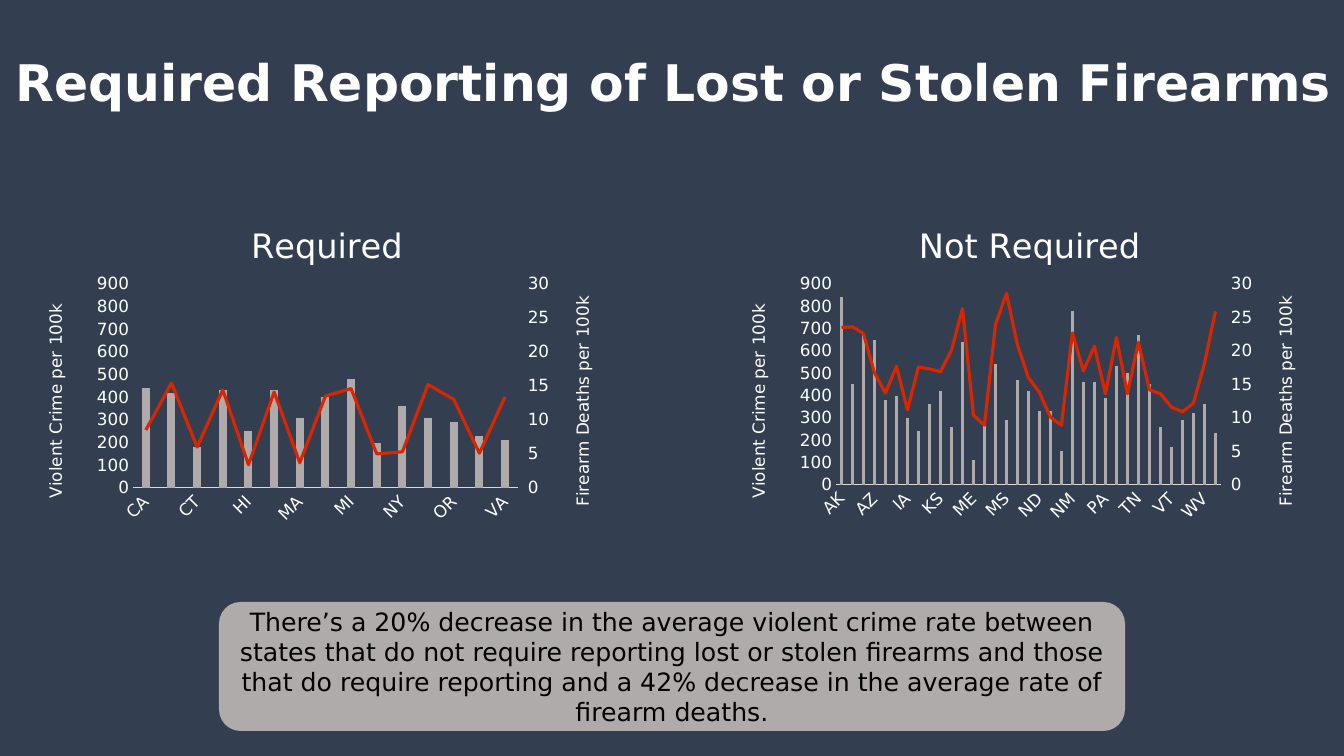
import copy
import pptx
import pptx.chart.axis
import pptx.chart.data
import pptx.dml.color
import pptx.enum.chart
import pptx.enum.shapes
import pptx.enum.text
import pptx.oxml
import pptx.oxml.ns
import pptx.util

PX = 9071  # EMU per px, 100.8 px to the inch
FONT = "DejaVu Sans"
NAVY, WHITE, BLACK = "333F50", "FFFFFF", "000000"
GREY, RED, AXIS_GREY = "AFABAB", "DA2600", "D9D9D9"
CHART_WIDTH = 608

CHARTS = [
    dict(title="Required", left=17, height=338, title_left=228, plot_height=204,
         states="CA CO CT DE HI IL MA MD MI NJ NY OH OR RI VA",
         crime=[440, 420, 180, 430, 250, 430, 310, 400, 480, 200, 360, 310, 290, 230, 210],
         deaths=[8.5, 15.4, 6, 14.4, 3.4, 14.1, 3.7, 13.5, 14.6, 5, 5.3, 15.2, 13, 5.1, 13.4]),
    dict(title="Not Required", left=720, height=336, title_left=193, plot_height=201,
         states="AK AL AR AZ FL GA IA ID IN KS KY LA ME MN MO MS MT NC ND NE NH NM NV OK "
                "PA SC SD TN TX UT VT WA WI WV WY",
         crime=[840, 450, 670, 650, 380, 400, 300, 240, 360, 420, 260, 640, 110, 280, 540,
                290, 470, 420, 330, 330, 150, 780, 460, 460, 390, 530, 500, 670, 450, 260,
                170, 290, 320, 360, 230],
         deaths=[23.5, 23.6, 22.6, 16.7, 13.7, 17.7, 11.2, 17.6, 17.3, 16.9, 20.1, 26.3,
                 10.4, 8.9, 23.9, 28.6, 20.9, 16, 13.8, 10.1, 8.9, 22.7, 17, 20.7, 13.6,
                 22, 13.6, 21.3, 14.2, 13.6, 11.6, 10.9, 12.2, 18.1, 25.9]),
]


def rgb(value):
    return pptx.dml.color.RGBColor.from_string(value)


def write(frame, text, size=12, color=WHITE, bold=False, spacing=None):
    paragraph = frame.paragraphs[0]
    paragraph.alignment = pptx.enum.text.PP_ALIGN.CENTER
    paragraph.line_spacing = spacing
    run = paragraph.add_run()
    run.text = text
    run.font.name = FONT
    run.font.size = pptx.util.Pt(size)
    run.font.bold = bold
    run.font.color.rgb = rgb(color)


deck = pptx.Presentation()
deck.slide_width, deck.slide_height = 1344 * PX, 756 * PX
slide = deck.slides.add_slide(deck.slide_layouts[5])
slide.background.fill.solid()
slide.background.fill.fore_color.rgb = rgb(NAVY)

# Title
heading = slide.shapes.title
heading.left, heading.top, heading.width, heading.height = (v * PX for v in (-44, 12, 1435, 146))
heading.text_frame.word_wrap = True
heading.text_frame.vertical_anchor = pptx.enum.text.MSO_ANCHOR.MIDDLE
write(heading.text_frame, "Required Reporting of Lost or Stolen Firearms",
      size=36, bold=True, spacing=0.9)

# Charts: crime as columns, deaths as a line on the right axis
for group in CHARTS:
    data = pptx.chart.data.CategoryChartData()
    data.categories = group["states"].split()
    data.add_series("Series 1", group["crime"])
    data.add_series("Series 2", group["deaths"])
    chart = slide.shapes.add_chart(
        pptx.enum.chart.XL_CHART_TYPE.COLUMN_CLUSTERED,
        group["left"] * PX, 195 * PX, CHART_WIDTH * PX, group["height"] * PX, data).chart
    chart.font.name = FONT
    chart.font.size = pptx.util.Pt(12)
    chart.font.color.rgb = rgb(WHITE)
    chart.has_legend = False
    chart.has_title = True
    write(chart.chart_title.text_frame, group["title"], size=24)

    # Second pair of axes
    plot_area = chart.element.xpath(".//c:plotArea")[0]
    state_xml = plot_area.xpath("c:catAx")[0]
    crime_xml = plot_area.xpath("c:valAx")[0]
    hidden_xml, deaths_xml = copy.deepcopy(state_xml), copy.deepcopy(crime_xml)
    crime_xml.addnext(deaths_xml)
    deaths_xml.addnext(hidden_xml)
    for axis_xml, own_id, cross_id in ((deaths_xml, "502", "501"), (hidden_xml, "501", "502")):
        axis_xml.xpath("c:axId")[0].set("val", own_id)
        axis_xml.xpath("c:crossAx")[0].set("val", cross_id)
    deaths_xml.xpath("c:axPos")[0].set("val", "r")
    deaths_xml.xpath("c:crosses")[0].set("val", "max")
    pptx.chart.axis.CategoryAxis(hidden_xml).visible = False

    # Move the deaths series into a line plot
    bars_xml = plot_area.xpath("c:barChart")[0]
    line_xml = pptx.oxml.parse_xml(
        '<c:lineChart %s><c:grouping val="standard"/><c:varyColors val="0"/>'
        '<c:marker val="1"/><c:axId val="501"/><c:axId val="502"/></c:lineChart>'
        % pptx.oxml.ns.nsdecls("c"))
    bars_xml.addnext(line_xml)
    deaths_series = bars_xml.xpath("c:ser")[1]
    for flag in deaths_series.xpath("c:invertIfNegative"):
        deaths_series.remove(flag)
    line_xml.insert(2, deaths_series)

    columns, line = chart.plots
    columns.gap_width = 219
    columns.vary_by_categories = False
    columns.series[0].format.fill.solid()
    columns.series[0].format.fill.fore_color.rgb = rgb(GREY)
    deaths = line.series[0]
    deaths.smooth = False
    deaths.marker.style = pptx.enum.chart.XL_MARKER_STYLE.NONE
    deaths.format.line.color.rgb = rgb(RED)
    deaths.format.line.width = pptx.util.Pt(2.25)

    # Axes
    tick = pptx.enum.chart.XL_TICK_MARK
    states = chart.category_axis
    states.major_tick_mark = tick.NONE
    states.format.line.color.rgb = rgb(AXIS_GREY)
    states.format.line.width = pptx.util.Pt(0.75)
    states.tick_labels.font.size = pptx.util.Pt(12)
    state_xml.xpath("c:txPr/a:bodyPr")[0].set("rot", "-2700000")
    placed = [(plot_area, 0, (116, 89, 385, group["plot_height"])),
              (chart.chart_title.element, 1, (group["title_left"], 22))]
    for axis_xml, label, top, step, mark, corner in (
            (crime_xml, "Violent Crime per 100k", 900, 100, tick.NONE, (24, 106)),
            (deaths_xml, "Firearm Deaths per 100k", 30, 5, tick.OUTSIDE, (551, 98))):
        axis = pptx.chart.axis.ValueAxis(axis_xml)
        axis.minimum_scale, axis.maximum_scale, axis.major_unit = 0, top, step
        axis.has_major_gridlines = False
        axis.major_tick_mark = mark
        axis.format.line.fill.background()
        write(axis.axis_title.text_frame, label)
        turned = axis_xml.xpath("c:title/c:tx/c:rich/a:bodyPr")[0]
        turned.set("rot", "-5400000")
        turned.set("vert", "horz")
        placed.append((axis.axis_title.element, 1, corner))

    # Positions of the plot and the titles inside the chart
    for parent, index, box in placed:
        for layout in parent.xpath("c:layout"):
            parent.remove(layout)
        edges = "xywh"[:len(box)]
        sizes = (CHART_WIDTH, group["height"]) * 2
        inner = '<c:layoutTarget val="inner"/>' if len(box) == 4 else ""
        modes = "".join(f'<c:{edge}Mode val="edge"/>' for edge in edges[:2])
        values = "".join(f'<c:{edge} val="{length / size:.4f}"/>'
                         for edge, length, size in zip(edges, box, sizes))
        parent.insert(index, pptx.oxml.parse_xml(
            f'<c:layout {pptx.oxml.ns.nsdecls("c")}><c:manualLayout>'
            f'{inner}{modes}{values}</c:manualLayout></c:layout>'))

# Conclusion
conclusion = slide.shapes.add_shape(
    pptx.enum.shapes.MSO_SHAPE.ROUNDED_RECTANGLE, 219 * PX, 602 * PX, 906 * PX, 129 * PX)
conclusion.shadow.inherit = False
conclusion.fill.solid()
conclusion.fill.fore_color.rgb = rgb(GREY)
conclusion.line.fill.background()
conclusion.text_frame.word_wrap = True
conclusion.text_frame.vertical_anchor = pptx.enum.text.MSO_ANCHOR.MIDDLE
write(conclusion.text_frame,
      "There’s a 20% decrease in the average violent crime rate between states that do not "
      "require reporting lost or stolen firearms and those that do require reporting and a "
      "42% decrease in the average rate of firearm deaths.", size=18, color=BLACK)

deck.save("out.pptx")
